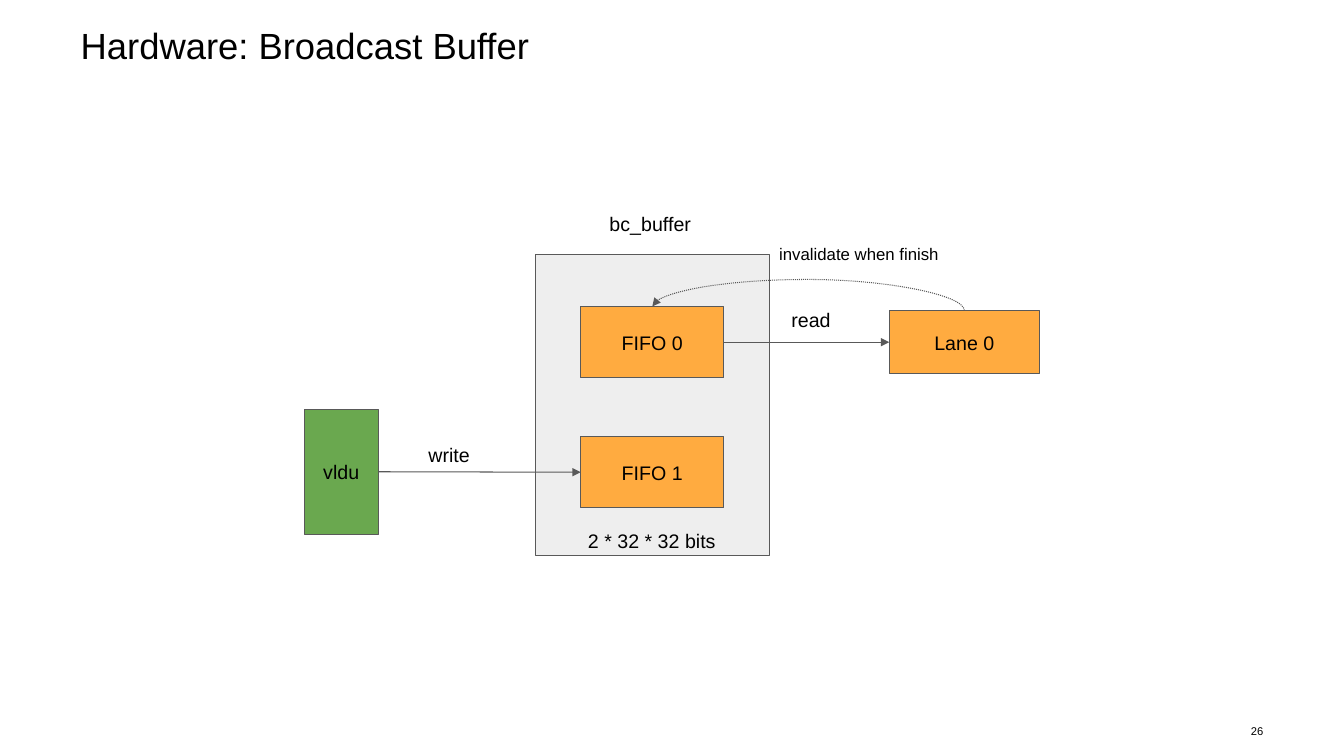
"""Build the broadcast buffer slide: a loader writes FIFO 1 while a lane reads FIFO 0."""
from lxml.etree import SubElement
from pptx import Presentation
from pptx.dml.color import RGBColor
from pptx.enum.dml import MSO_LINE
from pptx.enum.shapes import MSO_CONNECTOR as Connector, MSO_SHAPE as Shape
from pptx.enum.text import MSO_ANCHOR as Anchor, MSO_AUTO_SIZE as AutoSize, PP_ALIGN as Align
from pptx.oxml.ns import qn
from pptx.util import Inches, Pt

CELL = Inches(0.1)
GREY, ORANGE, GREEN = "595959", "FFAB40", "6AA84F"


def paint(target, color):
    """Give a fill, line fill or font a solid colour."""
    if hasattr(target, "solid"):
        target.solid()
        target = target.fore_color
    else:
        target = target.color
    target.rgb = RGBColor.from_string(color)


def write(shape, text, size=14, align=Align.CENTER, anchor=Anchor.TOP, inset=1,
          spacing=None, grow=False):
    """Put one formatted paragraph into a shape."""
    frame = shape.text_frame
    frame.word_wrap = True
    frame.auto_size = AutoSize.SHAPE_TO_FIT_TEXT if grow else AutoSize.NONE
    frame.vertical_anchor = anchor
    frame.margin_left = frame.margin_right = int(inset * CELL)
    frame.margin_top = frame.margin_bottom = int(inset * CELL)
    paragraph = frame.paragraphs[0]
    paragraph.alignment = align
    paragraph.line_spacing = spacing
    run = paragraph.add_run()
    run.text = text
    run.font.name = "Arial"
    run.font.size = Pt(size)
    paint(run.font, "000000")


presentation = Presentation()
presentation.slide_width = Inches(13.33)
presentation.slide_height = Inches(7.5)
slide = presentation.slides.add_slide(presentation.slide_layouts[6])
shapes = slide.shapes

fifo_left, fifo_top, fifo_width, fifo_height, fifo_pitch = 57.6, 30.4, 14.2, 7.1, 12.9
blocks = {}
for name, fill, *place in [
    ("", "EEEEEE", 53.1, 25.2, 23.2, 29.9),
    ("FIFO 0", ORANGE, fifo_left, fifo_top, fifo_width, fifo_height),
    ("FIFO 1", ORANGE, fifo_left, fifo_top + fifo_pitch, fifo_width, fifo_height),
    ("vldu", GREEN, 30.2, 40.6, 7.3, 12.4),
    ("Lane 0", ORANGE, 88.2, 30.8, 14.9, 6.3),
]:
    block = shapes.add_shape(Shape.RECTANGLE, *[int(cells * CELL) for cells in place])
    block.shadow.inherit = False
    paint(block.fill, fill)
    paint(block.line.fill, GREY)
    block.line.width = Pt(0.75)
    if name:
        write(block, name, anchor=Anchor.MIDDLE)
    blocks[name] = block

arrows = []
for source, target in [("vldu", "FIFO 1"), ("FIFO 0", "Lane 0")]:
    arrow = shapes.add_connector(Connector.STRAIGHT, 0, 0, 0, 0)
    arrow.begin_connect(blocks[source], 3)
    arrow.end_connect(blocks[target], 1)
    arrows.append(arrow)

lane, fifo = blocks["Lane 0"], blocks["FIFO 0"]
lane_middle = lane.left + lane.width // 2
fifo_middle = fifo.left + fifo.width // 2
center_x, center_y = (lane_middle + fifo_middle) // 2, (lane.top + fifo.top) // 2
half_span, half_drop = (lane_middle - fifo_middle) // 2, (lane.top - fifo.top) // 2
invalidate = shapes.add_connector(
    Connector.CURVE, center_x + half_drop, center_y - half_span,
    center_x - half_drop, center_y + half_span)
properties = invalidate._element.spPr
properties.find(qn("a:xfrm")).set("rot", str(90 * 60000))
adjustments = properties.find(qn("a:prstGeom")).find(qn("a:avLst"))
SubElement(adjustments, qn("a:gd"), name="adj1", fmla="val 766600")
invalidate.line.dash_style = MSO_LINE.ROUND_DOT
arrows.append(invalidate)

for arrow in arrows:
    paint(arrow.line.fill, GREY)
    arrow.line.width = Pt(0.75)
    SubElement(arrow.line._get_or_add_ln(), qn("a:tailEnd"), type="triangle")
    SubElement(arrow._element.spPr, qn("a:effectLst"))

plain = dict(align=Align.LEFT, grow=True)
for text, place, style in [
    ("Hardware: Broadcast Buffer", (8, 2.8, 117.3, 9.8),
     dict(size=26, align=Align.LEFT, inset=0, spacing=0.9)),
    ("bc_buffer", (56.8, 20, 15.4, 4.4), dict(grow=True)),
    ("write", (41.5, 42.9, 8.5, 4.4), plain),
    ("read", (77.5, 29.6, 8.5, 4.4), plain),
    ("invalidate when finish", (76.3, 23.2, 20, 4), dict(plain, size=12)),
    ("2 * 32 * 32 bits", (56.4, 51.5, 16.5, 4.4), dict(grow=True)),
    ("26", (121.8, 71.3, 3.5, 2.4),
     dict(size=8, align=Align.RIGHT, anchor=Anchor.MIDDLE, inset=0)),
]:
    write(shapes.add_textbox(*[int(cells * CELL) for cells in place]), text, **style)

presentation.save("out.pptx")
